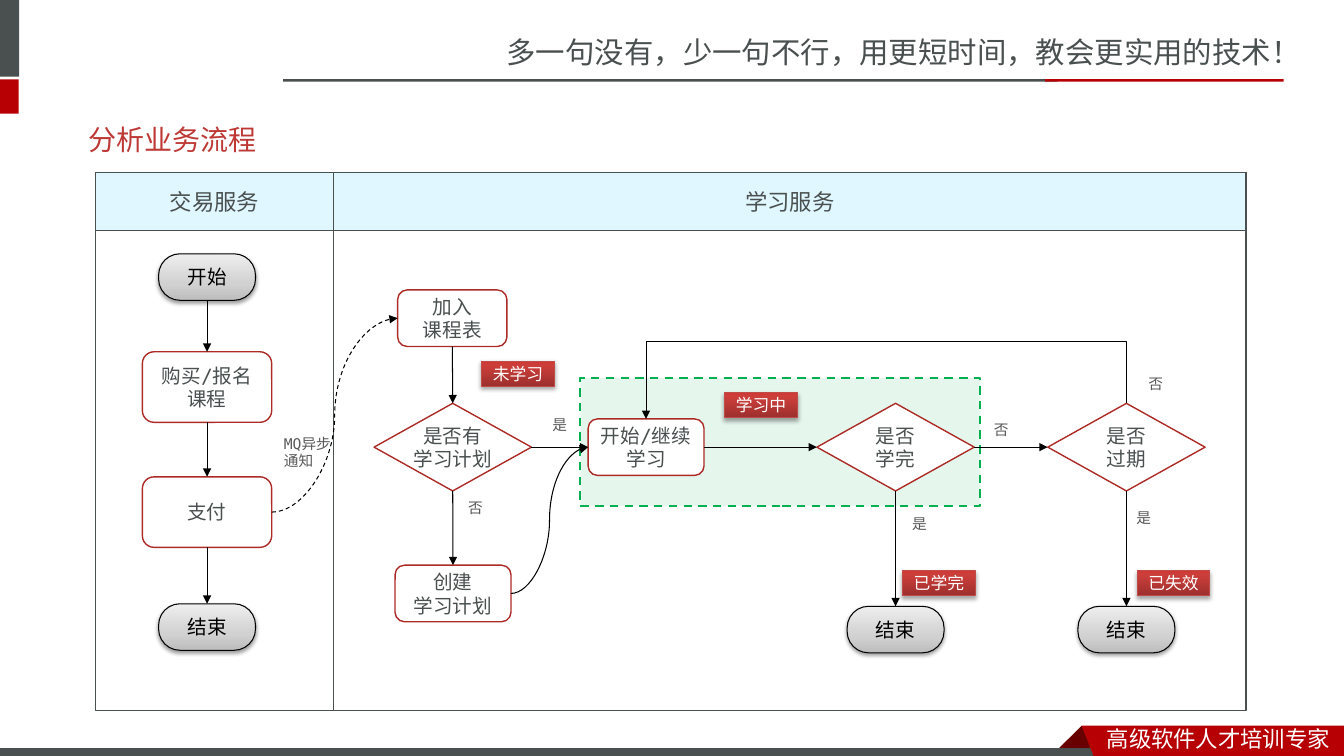
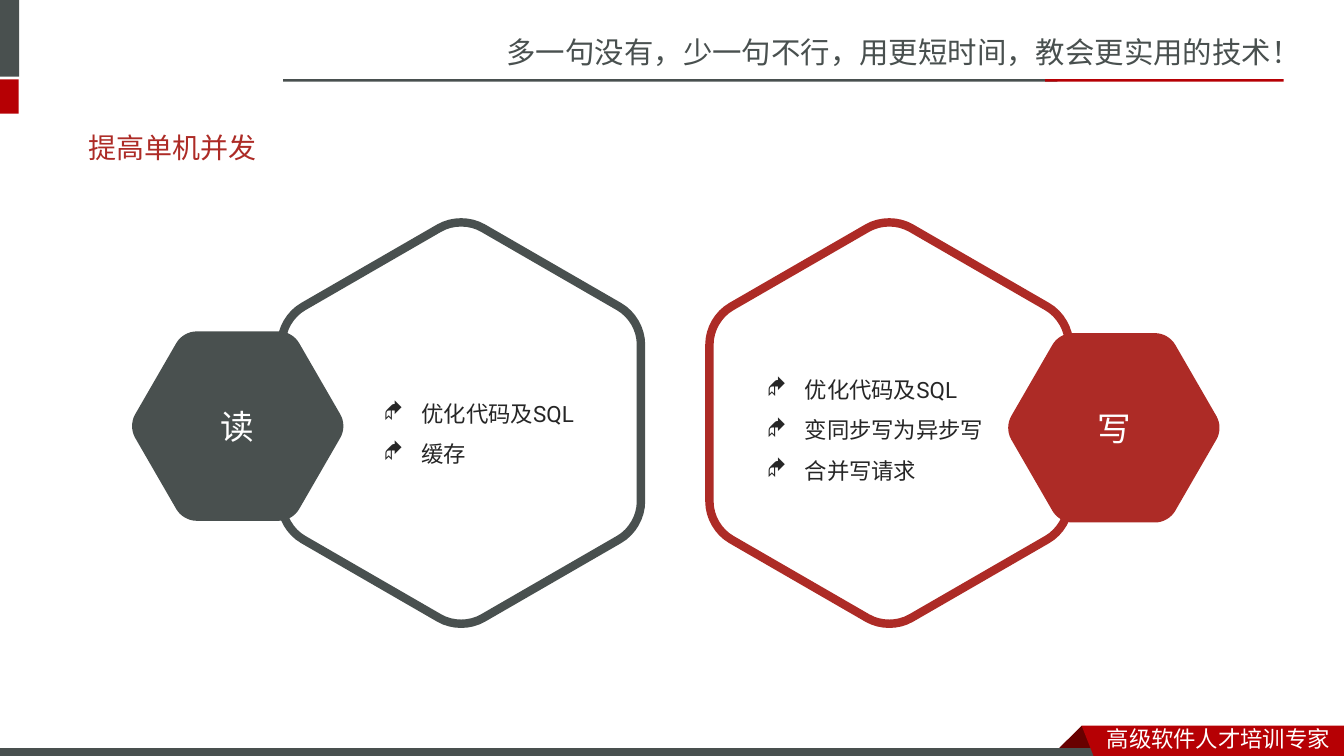
"""Build two training slides: a learning-service flowchart and a read/write concurrency overview."""
import copy
import math

import lxml.etree
import pptx
import pptx.dml.color
import pptx.enum.dml
import pptx.enum.shapes
import pptx.enum.text
import pptx.oxml.ns
import pptx.util

SLATE, RED, CRIMSON, MAROON = "49504F", "AD2B26", "B60004", "680000"
WHITE, BLACK, GREEN, SKY = "FFFFFF", "000000", "00B050", "E1F7FF"
CJK, MONO = "Noto Sans CJK SC", "DejaVu Sans Mono"
LEFT, CENTER = pptx.enum.text.PP_ALIGN.LEFT, pptx.enum.text.PP_ALIGN.CENTER
TOP, MIDDLE = pptx.enum.text.MSO_ANCHOR.TOP, pptx.enum.text.MSO_ANCHOR.MIDDLE
RECTANGLE = pptx.enum.shapes.MSO_SHAPE.RECTANGLE
ROUNDED = pptx.enum.shapes.MSO_SHAPE.ROUNDED_RECTANGLE
DIAMOND = pptx.enum.shapes.MSO_SHAPE.DIAMOND
STRAIGHT = pptx.enum.shapes.MSO_CONNECTOR.STRAIGHT
ELBOW = pptx.enum.shapes.MSO_CONNECTOR.ELBOW
CURVE = pptx.enum.shapes.MSO_CONNECTOR.CURVE
DASH = pptx.enum.dml.MSO_LINE.DASH
qn = pptx.oxml.ns.qn


def paint(target, colour):
    if hasattr(target, "solid"):
        target.solid()
        target = target.fore_color
    target.rgb = pptx.dml.color.RGBColor.from_string(colour)


def write(shape, text, size=14, font=MONO, colour=SLATE, align=LEFT, anchor=MIDDLE,
          inset=7.2, spacing=None, before=None, bullet=None):
    frame = shape.text_frame
    frame.word_wrap = True
    frame.vertical_anchor = anchor
    frame.margin_left = frame.margin_right = pptx.util.Pt(inset)
    frame.margin_top = frame.margin_bottom = pptx.util.Pt(3.6)
    for index, line in enumerate(text.split("\n")):
        paragraph = frame.add_paragraph() if index else frame.paragraphs[0]
        paragraph.alignment = align
        paragraph.line_spacing = spacing
        if before:
            paragraph.space_before = pptx.util.Pt(before)
        if bullet:
            properties = paragraph._p.get_or_add_pPr()
            properties.set("marL", str(pptx.util.Pt(27)))
            properties.set("indent", str(pptx.util.Pt(-27)))
            lxml.etree.SubElement(properties, qn("a:buFont")).set("typeface", "Wingdings")
            lxml.etree.SubElement(properties, qn("a:buChar")).set("char", bullet)
        run = paragraph.add_run()
        run.text = line
        run.font.size = pptx.util.Pt(size)
        paint(run.font.fill, colour)
        run.font.name = font
        lxml.etree.SubElement(run._r.get_or_add_rPr(), qn("a:ea")).set("typeface", CJK)


deck = pptx.Presentation()
deck.slide_width, deck.slide_height = pptx.util.Pt(960), pptx.util.Pt(540)

bands = [
    ((-4, 0, 17.6, 54.7), SLATE, None),
    ((-4, 56.7, 17.3, 24.5), CRIMSON, None),
    ((202.3, 56.6, 553, 1.7), SLATE, None),
    ((746.6, 56.6, 170.4, 1.7), CRIMSON, None),
    ((-0.7, 533.8, 792, 8.6), SLATE, WHITE),
]
ribbon = [
    ([(772.6, 518.4), (788.4, 534.2), (756.7, 534.2)], MAROON),
    ([(772.6, 518.4), (960, 518.4), (960, 542.5), (782, 542.2)], CRIMSON),
]
titles = [
    ("分析业务流程", (56.2, 79.2, 842.4, 41), dict(colour="BE3936")),
    ("提高单机并发", (56.2, 67.8, 470.2, 50.4), dict(colour=RED, spacing=2.0, before=4)),
]
slides = []
for title, title_box, title_format in titles:
    slide = deck.slides.add_slide(deck.slide_layouts[6])
    slides.append(slide)
    for box, colour, edge in bands:
        band = slide.shapes.add_shape(RECTANGLE, *map(pptx.util.Pt, box))
        band.shadow.inherit = False
        paint(band.fill, colour)
        if edge:
            paint(band.line.fill, edge)
            band.line.width = pptx.util.Pt(0.75)
        else:
            band.line.fill.background()
    for corners, colour in ribbon:
        points = [tuple(map(pptx.util.Pt, corner)) for corner in corners]
        builder = slide.shapes.build_freeform(*points[0])
        builder.add_line_segments(points[1:])
        fold = builder.convert_to_shape()
        fold.shadow.inherit = False
        paint(fold.fill, colour)
        fold.line.fill.background()
    for text, box, text_format in [
        ("多一句没有，少一句不行，用更短时间，教会更实用的技术！", (354.8, 20.8, 605.2, 33.8),
         dict(size=21, font=CJK, anchor=TOP)),
        ("高级软件人才培训专家", (783.4, 514.3, 176.4, 26.6),
         dict(size=16, font=CJK, anchor=TOP, colour=WHITE)),
        (title, title_box, dict(size=20, font="Arial", **title_format)),
    ]:
        write(slide.shapes.add_textbox(*map(pptx.util.Pt, box)), text, **text_format)

flow, concurrency = slides

scope = flow.shapes.add_shape(RECTANGLE, *map(pptx.util.Pt, (414.5, 270, 285.7, 91.4)))
scope.shadow.inherit = False
paint(scope.fill, GREEN)
scope_colour = scope.element.spPr.find(qn("a:solidFill"))[0]
lxml.etree.SubElement(scope_colour, qn("a:alpha")).set("val", "10000")
paint(scope.line.fill, GREEN)
scope.line.width = pptx.util.Pt(1.5)
scope.line.dash_style = DASH

for service, box in [
    ("学习服务", (238.3, 123.2, 651.7, 41.6)),
    ("", (238.3, 123.2, 651.7, 384.4)),
    ("交易服务", (68.3, 123.2, 170, 41.6)),
    ("", (68.3, 164.8, 170, 342.8)),
]:
    lane = flow.shapes.add_shape(RECTANGLE, *map(pptx.util.Pt, box))
    lane.shadow.inherit = False
    paint(lane.line.fill, SLATE)
    lane.line.width = pptx.util.Pt(1)
    if service:
        paint(lane.fill, SKY)
        write(lane, service, size=16, align=CENTER)
    else:
        lane.fill.background()

step = dict(preset=ROUNDED, outline=RED, weight=1)
silver = dict(preset=ROUNDED, size=(69.2, 33.2), outline=BLACK, weight=0.75, ink=BLACK,
              stops=[(0, "BDBDBD"), (0.35, "D1D1D1"), (1, "EEEEEE")], shadow=(38, 1.6))
ruby = dict(preset=RECTANGLE, size=(52, 18), outline="BF4C48", weight=0.75, ink=WHITE, text_size=12,
            stops=[(0, "9C2F2D"), (0.8, "CB3E3A"), (1, "CE3B37")], shadow=(35, 1.8))
large_step = dict(step, size=(92.4, 50.4))
small_step = dict(step, size=(82.8, 40.4))
decision = dict(step, preset=DIAMOND, size=(112.4, 62.6))
trade_x, plan_x, study_x, done_x, expiry_x = 147.9, 323.4, 461.5, 639.7, 804.6
middle_y, end_y, status_y = 319.4, 449.7, 416.5

nodes = {}
for key, text, x, y, style in [
    ("start", "开始", trade_x, 197.9, silver),
    ("buy", "购买/报名\n课程", trade_x, 276.5, large_step),
    ("has plan", "是否有\n学习计划", plan_x, middle_y, decision),
    ("pay", "支付", trade_x, 365.8, large_step),
    ("trade end", "结束", trade_x, 447.9, silver),
    ("join", "加入\n课程表", 323.1, 227.3, dict(step, size=(78, 40.4))),
    ("done end", "结束", done_x, end_y, silver),
    ("study", "开始/继续\n学习", study_x, middle_y, small_step),
    ("is done", "是否\n学完", done_x, middle_y, decision),
    ("is expired", "是否\n过期", expiry_x, middle_y, decision),
    ("not started", "未学习", 370.1, 266.9, ruby),
    ("in progress", "学习中", 543.6, 289.4, ruby),
    ("expired", "已失效", 838.3, status_y, ruby),
    ("done", "已学完", 670.7, status_y, ruby),
    ("create plan", "创建\n学习计划", 323.6, 423.9, small_step),
    ("expired end", "结束", expiry_x, end_y, silver),
]:
    width, height = style["size"]
    box = (x - width / 2, y - height / 2, width, height)
    node = flow.shapes.add_shape(style["preset"], *map(pptx.util.Pt, box))
    nodes[key] = node
    node.shadow.inherit = False
    paint(node.fill, WHITE)
    paint(node.line.fill, style["outline"])
    node.line.width = pptx.util.Pt(style["weight"])
    if style is silver:
        node.adjustments[0] = 0.46
    if "stops" in style:
        node.fill.gradient()
        node.fill.gradient_angle = 90
        stop_list = node.element.spPr.find(".//" + qn("a:gsLst"))
        stop_list.append(copy.deepcopy(stop_list[0]))
        for stop, (position, colour) in zip(node.fill.gradient_stops, style["stops"]):
            stop.position = position
            paint(stop.color, colour)
        opacity, distance = style["shadow"]
        glow = lxml.etree.SubElement(node.element.spPr.find(qn("a:effectLst")), qn("a:outerShdw"))
        for name, value in [("blurRad", pptx.util.Pt(3.1)), ("dist", pptx.util.Pt(distance)),
                            ("dir", 5400000), ("rotWithShape", 0)]:
            glow.set(name, str(value))
        glow_colour = lxml.etree.SubElement(glow, qn("a:srgbClr"))
        glow_colour.set("val", BLACK)
        lxml.etree.SubElement(glow_colour, qn("a:alpha")).set("val", str(opacity * 1000))
    write(node, text, size=style.get("text_size", 14), colour=style.get("ink", SLATE),
          align=CENTER, inset=0)

top, left, bottom, right = range(4)
for source, source_side, target, target_side, kind in [
    ("start", bottom, "buy", top, STRAIGHT),
    ("buy", bottom, "pay", top, STRAIGHT),
    ("pay", bottom, "trade end", top, STRAIGHT),
    ("pay", right, "join", left, CURVE),
    ("has plan", right, "study", left, STRAIGHT),
    ("study", right, "is done", left, STRAIGHT),
    ("join", bottom, "has plan", top, STRAIGHT),
    ("is done", bottom, "done end", top, STRAIGHT),
    ("is done", right, "is expired", left, STRAIGHT),
    ("is expired", top, "study", top, ELBOW),
    ("has plan", bottom, "create plan", top, STRAIGHT),
    ("create plan", right, "study", left, CURVE),
    ("is expired", bottom, "expired end", top, STRAIGHT),
]:
    arrow = flow.shapes.add_connector(kind, 0, 0, 0, 0)
    arrow.begin_connect(nodes[source], source_side)
    arrow.end_connect(nodes[target], target_side)
    paint(arrow.line.fill, BLACK)
    arrow.line.width = pptx.util.Pt(0.75)
    if source == "pay" and kind == CURVE:
        arrow.line.dash_style = DASH
    if kind == ELBOW:
        span, drop = arrow.width, arrow.height
        arrow.left, arrow.top = arrow.left + (span - drop) // 2, arrow.top + (drop - span) // 2
        arrow.width, arrow.height = drop, span
        frame = arrow.element.spPr.find(qn("a:xfrm"))
        for name, value in [("rot", "16200000"), ("flipH", "1"), ("flipV", "1")]:
            frame.set(name, value)
        guide = lxml.etree.SubElement(arrow.element.spPr.find(".//" + qn("a:avLst")), qn("a:gd"))
        guide.set("name", "adj1")
        guide.set("fmla", f"val {round(-100000 * pptx.util.Pt(44.2) / drop)}")
    lxml.etree.SubElement(arrow.line._get_or_add_ln(), qn("a:tailEnd")).set("type", "triangle")
    lxml.etree.SubElement(arrow.element.spPr, qn("a:effectLst"))

for text, x, y, width, height in [
    ("是", 387.4, 293.2, 25.2, 20.2),
    ("否", 327.2, 352.5, 25.2, 20.2),
    ("MQ异步\n通知", 195.8, 306.7, 48.2, 32.4),
    ("是", 644.4, 364, 25.2, 20.2),
    ("是", 804.6, 360, 25.2, 20.2),
    ("否", 702.9, 297, 25.2, 20.2),
    ("否", 813.2, 264.2, 25.2, 20.2),
]:
    label = flow.shapes.add_textbox(*map(pptx.util.Pt, (x, y, width, height)))
    write(label, text, size=10.5, colour="595959", anchor=TOP)

for center_x, center_y, radius, turn, cut, colour, caption in [
    (329.4, 302.2, 148.3, 30, 18, SLATE, ""),
    (635.2, 302.2, 148.3, 30, 18, RED, ""),
    (169.8, 304.4, 78.1, 0, 9.6, SLATE, "读"),
    (795.6, 305.6, 78.1, 0, 9.6, RED, "写"),
]:
    corners = [(center_x + radius * math.cos(math.radians(turn + 60 * side)),
                center_y + radius * math.sin(math.radians(turn + 60 * side))) for side in range(6)]
    outline = []
    for side, corner in enumerate(corners):
        before, after = corners[side - 1], corners[(side + 1) % 6]
        for neighbour, pull in [(before, cut), (before, 0.4 * cut), (after, 0.4 * cut), (after, cut)]:
            outline.append(tuple(pptx.util.Pt(c + (n - c) * pull / radius)
                                 for c, n in zip(corner, neighbour)))
    builder = concurrency.shapes.build_freeform(*outline[0])
    builder.add_line_segments(outline[1:])
    hexagon = builder.convert_to_shape()
    segments = hexagon.element.spPr.findall(".//" + qn("a:lnTo"))
    for first in range(0, len(segments), 4):
        bend, *others = segments[first:first + 3]
        bend.tag = qn("a:cubicBezTo")
        for other in others:
            bend.append(other[0])
            other.getparent().remove(other)
    hexagon.shadow.inherit = False
    if caption:
        paint(hexagon.fill, colour)
        hexagon.line.fill.background()
        write(hexagon, caption, size=24, font="Lato", colour=WHITE, align=CENTER)
    else:
        hexagon.fill.background()
        paint(hexagon.line.fill, colour)
        hexagon.line.width = pptx.util.Pt(6)

for measures, box in [
    ("优化代码及SQL\n缓存", (267, 274, 170, 61.9)),
    ("优化代码及SQL\n变同步写为异步写\n合并写请求", (540.7, 256.6, 170, 91.4)),
]:
    write(concurrency.shapes.add_textbox(*map(pptx.util.Pt, box)), measures, size=16,
          font="Roboto", colour="262626", spacing=1.5, bullet="◆")

deck.save("out.pptx")
